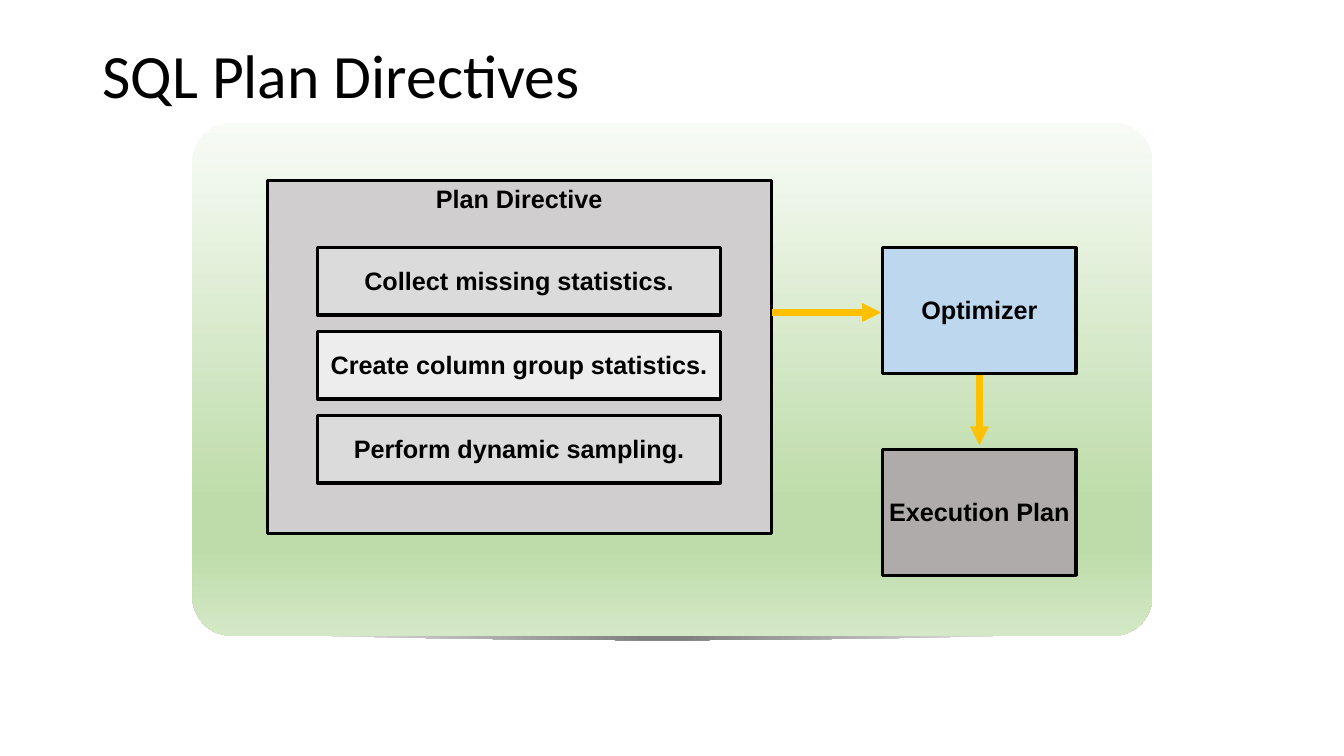
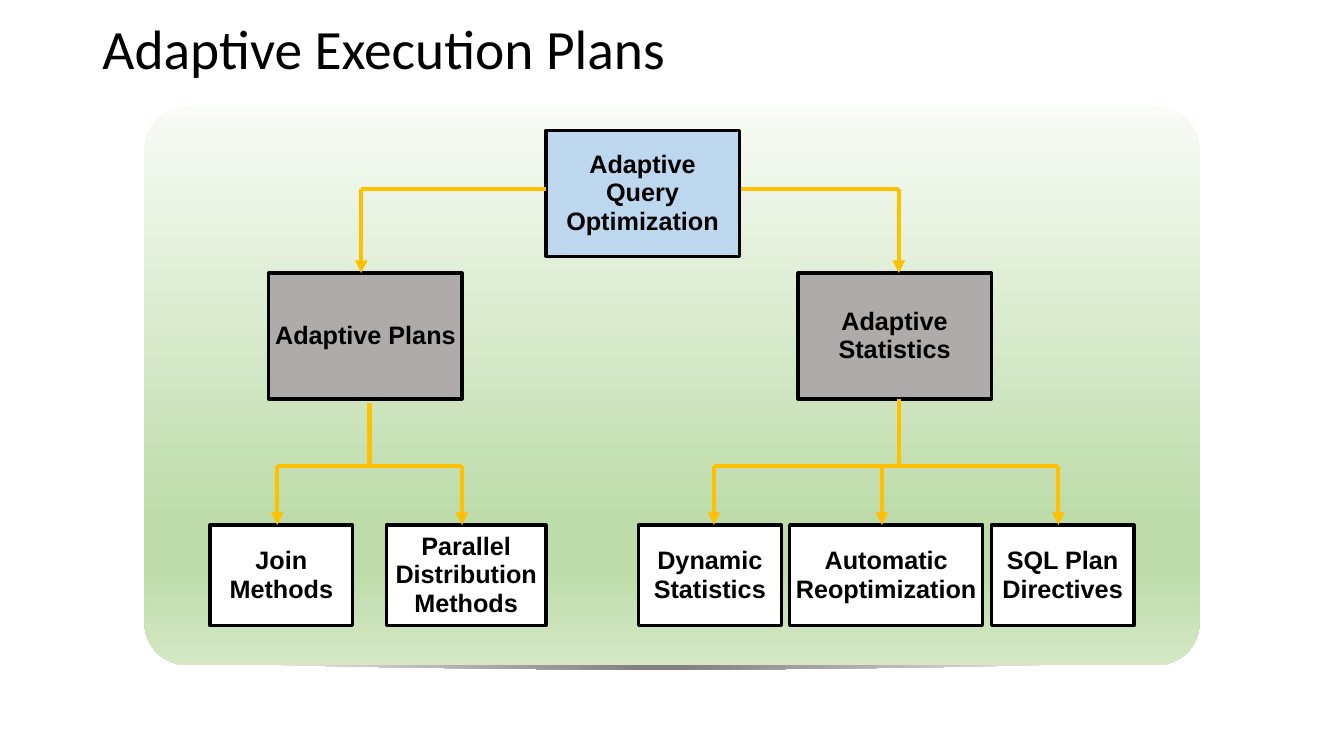
from lxml.etree import SubElement as Sub
from pptx import Presentation
from pptx.dml.color import RGBColor as RGB
from pptx.enum.shapes import MSO_CONNECTOR as Link, MSO_SHAPE as Kind
from pptx.enum.text import MSO_ANCHOR as Anchor, MSO_AUTO_SIZE as Fit, PP_ALIGN as Align
from pptx.oxml.ns import qn
from pptx.util import Inches, Pt

COLS, ROWS = 160, 90
WIDE, HIGH = Inches(13.33), Inches(7.5)
BLACK, WHITE, GOLD = "000000", "FFFFFF", "FFC000"
BLUE, GRAY, PALE, LIGHT, DARK = "BDD7EE", "AFABAB", "DBDBDB", "EDEDED", "D0CECE"
GREENS = [(0, "F8FBF6"), (74, "BEDCAA"), (83, "BEDCAA"), (100, "D4E8C6")]
SHADE = [(4, "808080"), (100, WHITE)]
PAD = Inches(0.05)
TIGHT = dict(margin_left=PAD, margin_right=PAD, margin_top=PAD, margin_bottom=PAD)
HEAD = dict(vertical_anchor=Anchor.TOP, auto_size=Fit.NONE, word_wrap=True)
LABEL = dict(name="Arial", size=Pt(18), bold=True)


def color(code):
    return RGB.from_string(code)


def col(n):
    return round(WIDE * n / COLS)


def row(n):
    return round(HIGH * n / ROWS)


def area(x, y, w, h):
    return col(x), row(y), col(w), row(h)


def apply(item, values):
    for key, value in values.items():
        setattr(item, key, value)


def write(frame, text, font, para):
    frame.text = text
    line = frame.paragraphs[0]
    apply(line, para)
    apply(line.font, font)
    line.font.color.rgb = color(BLACK)


def blend(shape, stops, round_=False):
    shape.shadow.inherit = False
    shape.line.fill.background()
    shape.fill.gradient()
    grad = shape.element.spPr.find(qn("a:gradFill"))
    for part in list(grad):
        grad.remove(part)
    group = Sub(grad, qn("a:gsLst"))
    for share, code in stops:
        stop = Sub(group, qn("a:gs"), pos=str(share * 1000))
        Sub(stop, qn("a:srgbClr"), val=code)
    if round_:
        way = Sub(grad, qn("a:path"), path="circle")
        Sub(way, qn("a:fillToRect"), l="50000", t="50000", r="50000", b="50000")
    else:
        Sub(grad, qn("a:lin"), ang="5400000", scaled="0")


def panel(slide, x, y, w, h):
    left, wide, top, dip = x + 0.021 * w, 0.937 * w, y + h - 0.4, 0.9
    steps = 24
    curve = [(col(left + wide * i / steps), row(top + 4 * dip * i / steps * (1 - i / steps)))
             for i in range(steps + 1)]
    pen = slide.shapes.build_freeform(*curve[0])
    pen.add_line_segments(curve[1:], close=True)
    blend(pen.convert_to_shape(), SHADE, True)
    card = slide.shapes.add_shape(Kind.ROUNDED_RECTANGLE, *area(x, y, w, h))
    card.adjustments[0] = 0.077
    blend(card, GREENS)


def title(slide, text, size, top):
    head = slide.shapes.title
    apply(head, dict(zip(("left", "top", "width", "height"), area(11, top, 138, 17.4))))
    apply(head.text_frame, HEAD)
    write(head.text_frame, text, dict(name="Calibri", size=Pt(size)),
          dict(alignment=Align.LEFT, line_spacing=0.9))


def box(slide, text, fill, x, y, w, h, anchor=Anchor.MIDDLE):
    shape = slide.shapes.add_shape(Kind.RECTANGLE, *area(x, y, w, h))
    shape.shadow.inherit = False
    shape.fill.solid()
    shape.fill.fore_color.rgb = color(fill)
    shape.line.color.rgb = color(BLACK)
    shape.line.width = Pt(2.25)
    frame = shape.text_frame
    apply(frame, dict(TIGHT, word_wrap=True, vertical_anchor=anchor))
    write(frame, text, LABEL, dict(alignment=Align.CENTER, line_spacing=0.95))


def line(slide, x, y, to_x, to_y, tip=False, width=3):
    link = slide.shapes.add_connector(Link.STRAIGHT, col(x), row(y), col(to_x), row(to_y))
    link.line.color.rgb = color(GOLD)
    link.line.width = Pt(width)
    if tip:
        Sub(link.line._get_or_add_ln(), qn("a:tailEnd"), type="triangle")
    Sub(link.element.spPr, qn("a:effectLst"))


def fan(slide, y, end, stops):
    line(slide, stops[0], y, stops[-1], y)
    for x in stops:
        line(slide, x, y, x, end, True)


def flow(slide):
    panel(slide, 22.9, 14.6, 114.3, 61.1)
    title(slide, "SQL Plan Directives", 44, 4.8)
    box(slide, "Plan Directive", DARK, 31.8, 21.5, 60, 42, Anchor.TOP)
    steps = [("Collect missing statistics.", PALE),
             ("Create column group statistics.", LIGHT),
             ("Perform dynamic sampling.", PALE)]
    for i, (text, fill) in enumerate(steps):
        box(slide, text, fill, 37.8, 29.5 + 10 * i, 48, 8)
    line(slide, 91.9, 37.2, 104.9, 37.2, True, 4.5)
    line(slide, 116.6, 44.5, 116.6, 53, True, 4.5)
    for text, fill, y in [("Optimizer", BLUE, 29.5), ("Execution Plan", GRAY, 53.5)]:
        box(slide, text, fill, 105.1, y, 23, 15)


def tree(slide):
    panel(slide, 17.2, 12.6, 125.6, 66.6)
    title(slide, "Adaptive Execution Plans", 39.6, 2)
    line(slide, 88, 22.5, 107, 22.5)
    line(slide, 44, 48, 44, 55.5)
    for text, fill, x, y in [("Adaptive Query Optimization", BLUE, 65, 15.5),
                             ("Adaptive Plans", GRAY, 32, 32.5),
                             ("Adaptive Statistics", GRAY, 95, 32.5)]:
        box(slide, text, fill, x, y, 23, 15)
    for text, x, w in [("Join Methods", 25, 17), ("Parallel Distribution Methods", 46, 19),
                       ("Dynamic Statistics", 76, 17), ("Automatic Reoptimization", 94, 23),
                       ("SQL Plan Directives", 118, 17)]:
        box(slide, text, WHITE, x, 62.5, w, 12)
    line(slide, 107, 47.5, 107, 55.5)
    fan(slide, 55.5, 62.5, (33, 55))
    fan(slide, 55.5, 62.5, (85, 105, 126))
    line(slide, 43, 22.5, 65, 22.5)
    for x in (43, 107):
        line(slide, x, 22.5, x, 32.5, True)


def main():
    deck = Presentation()
    apply(deck, dict(slide_width=WIDE, slide_height=HIGH))
    for draw in (flow, tree):
        draw(deck.slides.add_slide(deck.slide_layouts[5]))
    deck.save("out.pptx")


main()
